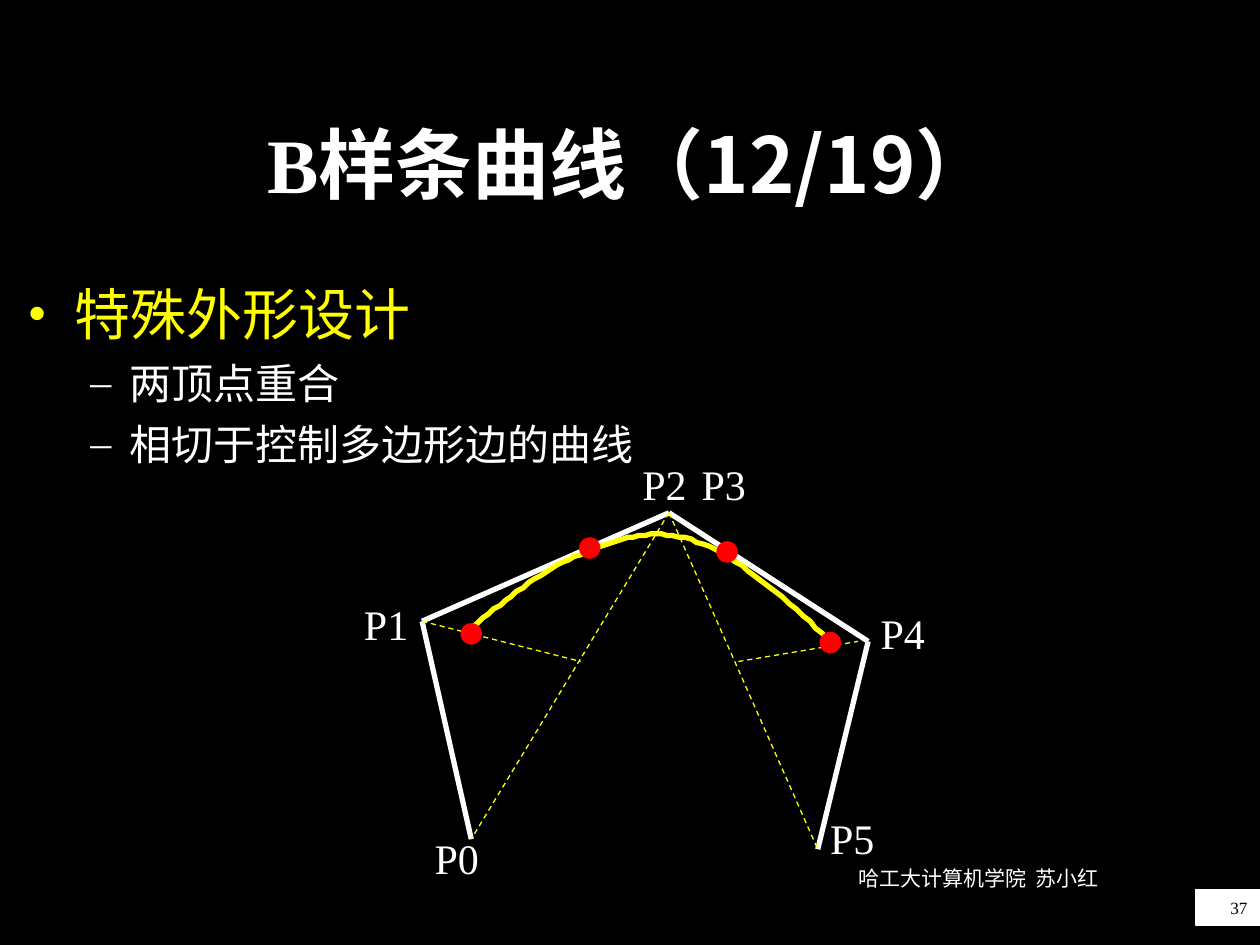
from lxml.etree import SubElement
from pptx import Presentation
from pptx.dml.color import RGBColor
from pptx.enum.dml import MSO_LINE
from pptx.enum.shapes import MSO_CONNECTOR, MSO_SHAPE
from pptx.enum.text import MSO_ANCHOR, PP_ALIGN
from pptx.oxml.ns import qn
from pptx.util import Pt

LATIN, CJK = "Times New Roman", "Noto Sans CJK SC"
BLACK, WHITE, YELLOW, RED = "000000", "FFFFFF", "FFFF00", "FF0000"

VERTICES = {"P0": (269.3, 479.5), "P1": (241.2, 355), "P2": (382.3, 293),
            "P4": (496.1, 366.5), "P5": (467.3, 485.3)}
LABELS = {"P0": (241.2, 472.3), "P1": (200.9, 338.4), "P2": (360, 258.5),
          "P3": (393.8, 258.5), "P4": (496.1, 343.4), "P5": (467.3, 460.8)}
CURVE = [(269.3, 358.6), (290.9, 341.3), (313.2, 323.3), (334.8, 315.4),
         (355.7, 306.7), (374.4, 301), (398.2, 309.6), (421.2, 317.5),
         (447.8, 342), (474.5, 365.8)]
JOINTS = [(269.3, 362.2), (337, 313.2), (415.5, 315.4), (474.5, 367.2)]


def color(value):
    return RGBColor.from_string(value)


def style_run(r, size, value=WHITE, font=LATIN, bold=False):
    r.font.size = Pt(size)
    r.font.name = font
    r.font.bold = bold
    r.font.color.rgb = color(value)
    SubElement(r._r.get_or_add_rPr(), qn("a:ea")).set("typeface", CJK)


def add_text(slide, text, left, top, width, height, size, align=PP_ALIGN.LEFT):
    sp = slide.shapes.add_textbox(Pt(left), Pt(top), Pt(width), Pt(height))
    tf = sp.text_frame
    tf.word_wrap = True
    p = tf.paragraphs[0]
    p.text = text
    p.alignment = align
    style_run(p.runs[0], size)
    return sp


def add_bullet(p, char, value, left, hanging):
    pPr = p._p.get_or_add_pPr()
    pPr.set("marL", str(Pt(left)))
    pPr.set("indent", str(-Pt(hanging)))
    SubElement(SubElement(pPr, qn("a:buClr")), qn("a:srgbClr")).set("val", value)
    SubElement(pPr, qn("a:buFont")).set("typeface", LATIN)
    SubElement(pPr, qn("a:buChar")).set("char", char)


def add_title(slide):
    sp = slide.shapes.title
    sp.left, sp.top, sp.width, sp.height = Pt(54), Pt(48), Pt(612), Pt(90)
    tf = sp.text_frame
    tf.vertical_anchor = MSO_ANCHOR.MIDDLE
    p = tf.paragraphs[0]
    p.alignment = PP_ALIGN.CENTER
    for text, font in (("B", LATIN), ("样条曲线（12/19）", CJK)):
        r = p.add_run()
        r.text = text
        style_run(r, 44, font=font, bold=True)


def add_outline(slide):
    sp = slide.shapes.add_textbox(Pt(8.6), Pt(156.2), Pt(618), Pt(119.5))
    tf = sp.text_frame
    tf.word_wrap = True
    p = tf.paragraphs[0]
    p.text = "特殊外形设计"
    add_bullet(p, "•", YELLOW, 27, 27)
    style_run(p.runs[0], 32, YELLOW)
    for text in ("两顶点重合", "相切于控制多边形边的曲线"):
        p = tf.add_paragraph()
        p.text = text
        p.level = 1
        p.space_before = Pt(6)
        add_bullet(p, "–", WHITE, 58.5, 22.5)
        style_run(p.runs[0], 24)


def add_line(slide, start, end, value, width, dash=None):
    sp = slide.shapes.add_connector(MSO_CONNECTOR.STRAIGHT,
                                    *(Pt(v) for v in (*start, *end)))
    sp.line.color.rgb = color(value)
    sp.line.width = Pt(width)
    sp.line.dash_style = dash
    SubElement(sp._element.spPr, qn("a:effectLst"))


def add_shape(slide, kind, left, top, width, height, value):
    sp = slide.shapes.add_shape(kind, Pt(left), Pt(top), Pt(width), Pt(height))
    sp.shadow.inherit = False
    sp.fill.solid()
    sp.fill.fore_color.rgb = color(value)
    sp.line.color.rgb = color(value)
    sp.line.width = Pt(0.75)
    return sp


def bezier_point(a, b, c, d, t):
    u = 1 - t
    return tuple(u**3 * i + 3 * u * u * t * j + 3 * u * t * t * k + t**3 * m
                 for i, j, k, m in zip(a, b, c, d))


def add_curve(slide, points, steps=20):
    """Draw joined cubic Bezier segments as one fine open outline."""
    path = [bezier_point(*points[i:i + 4], n / steps)
            for i in range(0, len(points) - 1, 3) for n in range(1, steps + 1)]
    builder = slide.shapes.build_freeform(*points[0], scale=Pt(1))
    builder.add_line_segments(path, close=False)
    sp = builder.convert_to_shape()
    sp.shadow.inherit = False
    sp.fill.background()
    sp.line.color.rgb = color(YELLOW)
    sp.line.width = Pt(3)


def add_page_number(slide):
    sp = add_shape(slide, MSO_SHAPE.RECTANGLE, 683.3, 508.3, 36.7, 20.2, WHITE)
    p = sp.text_frame.paragraphs[0]
    p.text = "37"
    p.alignment = PP_ALIGN.RIGHT
    style_run(p.runs[0], 9.8, BLACK)


def add_diagram(slide):
    v = VERTICES
    for a, b in (("P0", "P1"), ("P1", "P2"), ("P2", "P4"), ("P4", "P5")):
        add_line(slide, v[a], v[b], WHITE, 3)
    for name, (left, top) in LABELS.items():
        add_text(slide, name, left, top, 57, 36, 24)
    for start, end in ((v["P2"], v["P5"]), (v["P2"], v["P0"]),
                       (v["P1"], (331.9, 378)), ((421.9, 378), (490.3, 366.5))):
        add_line(slide, start, end, YELLOW, 0.75, MSO_LINE.DASH)
    add_curve(slide, CURVE)
    size = 11.5
    for x, y in JOINTS:
        add_shape(slide, MSO_SHAPE.OVAL, x - size / 2, y - size / 2, size, size, RED)


def main():
    prs = Presentation()
    prs.slide_width, prs.slide_height = Pt(720), Pt(540)
    slide = prs.slides.add_slide(prs.slide_layouts[5])
    slide.background.fill.solid()
    slide.background.fill.fore_color.rgb = color(BLACK)
    add_page_number(slide)
    add_text(slide, "哈工大计算机学院  苏小红", 445, 491, 228.2, 36, 12, PP_ALIGN.CENTER)
    add_title(slide)
    add_outline(slide)
    add_diagram(slide)
    prs.save("out.pptx")


if __name__ == "__main__":
    main()
